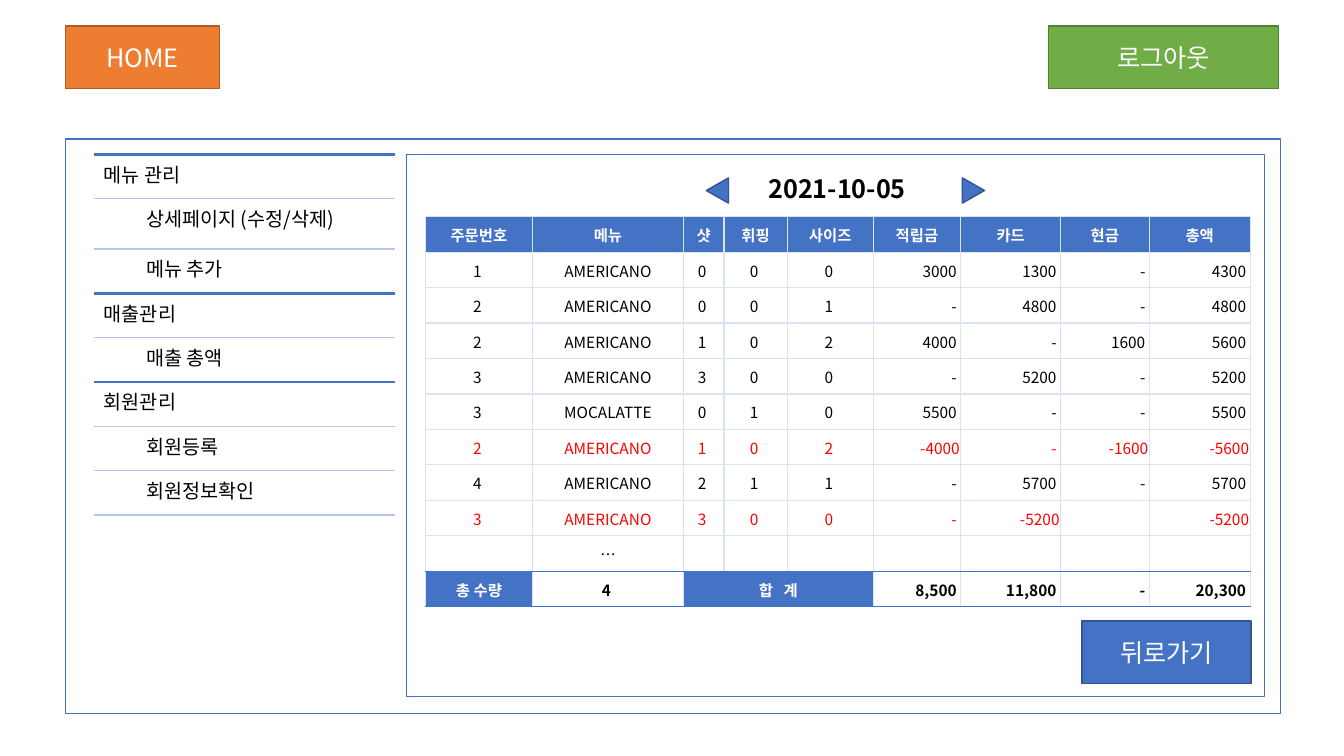
from lxml import etree
from pptx import Presentation
from pptx.dml.color import RGBColor
from pptx.enum.shapes import MSO_SHAPE
from pptx.enum.text import MSO_ANCHOR, PP_ALIGN
from pptx.oxml.ns import qn
from pptx.util import Pt

RECT, TRIANGLE = MSO_SHAPE.RECTANGLE, MSO_SHAPE.ISOSCELES_TRIANGLE
LEFT, CENTER, RIGHT = PP_ALIGN.LEFT, PP_ALIGN.CENTER, PP_ALIGN.RIGHT
TOP, MIDDLE = MSO_ANCHOR.TOP, MSO_ANCHOR.MIDDLE
PX = 9144  # 100 px to the inch
FONT = "Noto Sans CJK KR"
BLUE, DARK_BLUE, PALE_BLUE, GRID = "4472C4", "325491", "B4C7E7", "DAE3F3"
WHITE, BLACK, RED = "FFFFFF", "000000", "FF0000"
rgb = RGBColor.from_string


def write(tf, text, size, color, align=LEFT, bold=False):
    p = tf.paragraphs[0]
    p.alignment = align
    if not text:
        etree.SubElement(p._p, qn("a:endParaRPr"), sz=str(size * 100))
        return None
    r = p.add_run()
    r.text = text
    r.font.size, r.font.bold, r.font.name = Pt(size), bold, FONT
    r.font.color.rgb = rgb(color)
    etree.SubElement(r.font._element, qn("a:ea"), typeface=FONT)
    return r


def style_cell(cell, fill, borders):
    """Borders are (colour, points) or None, in the order left, right, top, bottom."""
    tcPr = cell._tc.get_or_add_tcPr()
    for side, border in zip("LRTB", borders):
        color, points = border or (None, 0)
        ln = etree.SubElement(tcPr, qn(f"a:ln{side}"), w=str(int(points * 12700)))
        if color:
            solid = etree.SubElement(ln, qn("a:solidFill"))
            etree.SubElement(solid, qn("a:srgbClr"), val=color)
        else:
            etree.SubElement(ln, qn("a:noFill"))
    cell.fill.solid()
    cell.fill.fore_color.rgb = rgb(fill)


prs = Presentation()
prs.slide_width, prs.slide_height = 1333 * PX, 750 * PX
s = prs.slides.add_slide(prs.slide_layouts[5])

# Panels, buttons and date arrows
shapes = [
    (RECT, 65, 138, 1205, 570, 0, WHITE, BLUE, ""),
    (RECT, 403, 153, 851, 538, 0, WHITE, BLUE, ""),
    (RECT, 65, 26, 153, 62, 0, "ED7D31", "AF5C24", "HOME"),
    (RECT, 1040, 26, 228, 62, 0, "70AD47", "538035", "로그아웃"),
    (RECT, 1073, 616, 168, 62, 0, BLUE, DARK_BLUE, "뒤로가기"),
    (TRIANGLE, 699, 178, 25, 22, 270, BLUE, DARK_BLUE, ""),
    (TRIANGLE, 953, 178, 25, 22, 90, BLUE, DARK_BLUE, ""),
]
for kind, x, y, w, h, rotation, fill, line, label in shapes:
    sp = s.shapes.add_shape(kind, x * PX, y * PX, w * PX, h * PX)
    sp.shadow.inherit = False
    sp.rotation = rotation
    sp.fill.solid()
    sp.fill.fore_color.rgb = rgb(fill)
    sp.line.color.rgb = rgb(line)
    sp.line.width = Pt(1)
    if label:
        sp.text_frame.vertical_anchor = MIDDLE
        write(sp.text_frame, label, 18, WHITE, CENTER)

# Date heading, brought in front of the panels
title = s.shapes.title
title.left, title.top, title.width, title.height = 752 * PX, 167 * PX, 340 * PX, 40 * PX
title.text_frame.vertical_anchor = TOP
write(title.text_frame, "2021-10-05", 18, BLACK, bold=True)
s.shapes.element.append(title.element)

# Side menu: (is a section, label)
menu = [
    (True, "메뉴 관리"), (False, "상세페이지 (수정/삭제)"), (False, "메뉴 추가"),
    (True, "매출관리"), (False, "매출 총액"),
    (True, "회원관리"), (False, "회원등록"), (False, "회원정보확인"),
]
menu_table = s.shapes.add_table(len(menu), 2, 93 * PX, 153 * PX, 299 * PX, 360 * PX).table
menu_table.first_row = menu_table.horz_banding = False
menu_table.columns[0].width, menu_table.columns[1].width = 42 * PX, 257 * PX
edges = [(BLUE, 2.25) if section else (PALE_BLUE, 1) for section, _ in menu]
edges.append((PALE_BLUE, 1))
for i, (section, label) in enumerate(menu):
    menu_table.rows[i].height = (50 if i == 1 else 44) * PX
    cells = [menu_table.cell(i, j) for j in range(2)]
    for cell in cells:
        style_cell(cell, WHITE, (None, None, edges[i], edges[i + 1]))
    if section:
        cells[0].merge(cells[1])
    write(cells[0 if section else 1].text_frame, label, 14, BLACK)

# Sales of the day
sales = [
    ["주문번호", "메뉴", "샷", "휘핑", "사이즈", "적립금", "카드", "현금", "총액"],
    ["1", "AMERICANO", "0", "0", "0", "3000", "1300", "-", "4300"],
    ["2", "AMERICANO", "0", "0", "1", "-", "4800", "-", "4800"],
    ["2", "AMERICANO", "1", "0", "2", "4000", "-", "1600", "5600"],
    ["3", "AMERICANO", "3", "0", "0", "-", "5200", "-", "5200"],
    ["3", "MOCALATTE", "0", "1", "0", "5500", "-", "-", "5500"],
    ["2", "AMERICANO", "1", "0", "2", "-4000", "-", "-1600", "-5600"],
    ["4", "AMERICANO", "2", "1", "1", "-", "5700", "-", "5700"],
    ["3", "AMERICANO", "3", "0", "0", "-", "-5200", "", "-5200"],
    ["", "…", "", "", "", "", "", "", ""],
    ["총 수량", "4", "합 계", "", "", "8,500", "11,800", "-", "20,300"],
]
widths = [106, 150, 40, 63, 85, 87, 99, 88, 100]
last = len(sales) - 1
sales_table = s.shapes.add_table(
    len(sales), len(widths), 422 * PX, 215 * PX, sum(widths) * PX, 387 * PX).table
sales_table.first_row = sales_table.horz_banding = False
for column, width in zip(sales_table.columns, widths):
    column.width = width * PX
sales_table.cell(last, 2).merge(sales_table.cell(last, 4))
for i, row in enumerate(sales):
    refund = row[-1].startswith("-")
    for j, text in enumerate(row):
        cell = sales_table.cell(i, j)
        header = i == 0 or (i == last and j in (0, 2, 3, 4))
        top = (BLUE if i == last else GRID, 1)
        bottom = (BLUE if i >= last - 1 else GRID, 1)
        style_cell(cell, BLUE if header else WHITE, ((GRID, 1), (GRID, 1), top, bottom))
        number = text == "-" or text[:1].isdigit()
        cell.vertical_anchor = MIDDLE
        cell.margin_left = cell.margin_top = PX
        cell.margin_right = (4 if number else 1) * PX
        cell.margin_bottom = 0
        color = WHITE if header else RED if refund else BLACK
        align = RIGHT if i > 0 and j >= 5 else CENTER
        r = write(cell.text_frame, text, 11, color, align, i in (0, last))
        if text == "합 계":
            r.font._element.set("spc", "250")

prs.save("out.pptx")
